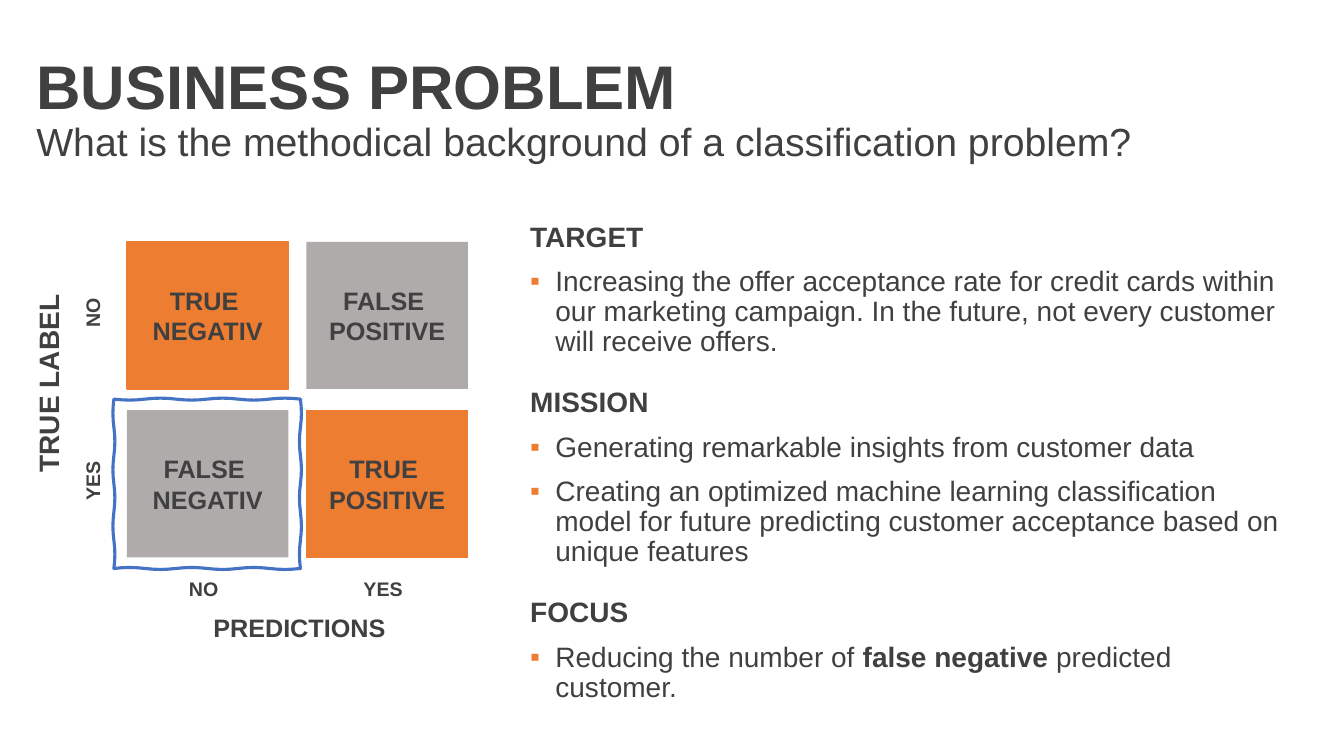
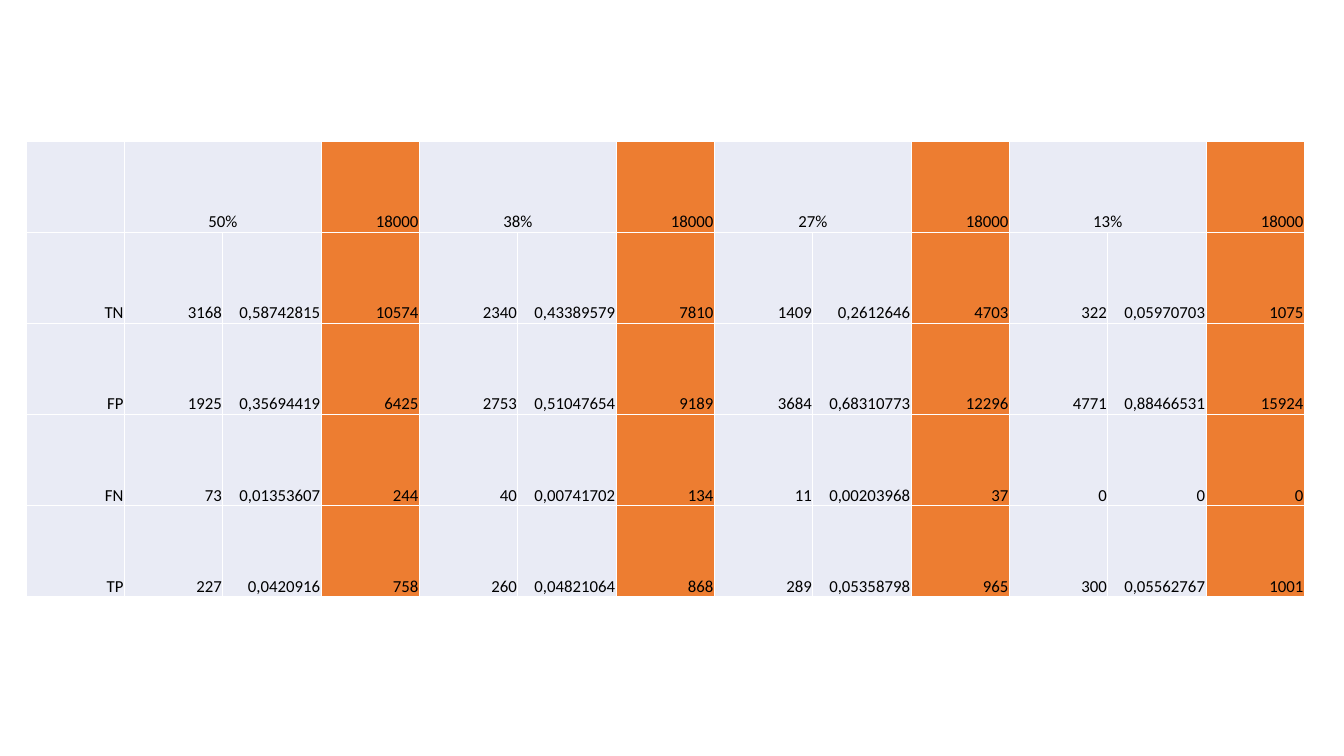
from math import pi, sin

from lxml.etree import SubElement
from pptx import Presentation
from pptx.dml.color import RGBColor
from pptx.enum.shapes import MSO_SHAPE as Shape
from pptx.enum.text import MSO_ANCHOR as Anchor, PP_ALIGN as Align
from pptx.oxml.ns import qn
from pptx.util import Inches, Pt

INK, ORANGE, GRAY, BLUE, PALE, BLACK = (
    "404040", "ED7D31", "AFABAB", "4472C4", "E9EBF5", "000000")
SANS, TABLE_FONT = "Arial", "Calibri"

POINTS = [
    ("TARGET", [
        "Increasing the offer acceptance rate for credit cards within our "
        "marketing campaign. In the future, not every customer will receive offers."]),
    ("MISSION", [
        "Generating remarkable insights from customer data",
        "Creating an optimized machine learning classification model for future "
        "predicting customer acceptance based on unique features"]),
    ("FOCUS", ["Reducing the number of *false negative *predicted customer."]),
]
MATRIX = [
    [("TRUE \nNEGATIV", ORANGE), ("FALSE \nPOSITIVE", GRAY)],
    [("FALSE \nNEGATIV", GRAY), ("TRUE \nPOSITIVE", ORANGE)],
]
SHARES, TOTAL = ["50%", "38%", "27%", "13%"], "18000"
COUNTS = [
    "TN 3168 0,58742815 10574 2340 0,43389579 7810 1409 0,2612646 4703 322 0,05970703 1075",
    "FP 1925 0,35694419 6425 2753 0,51047654 9189 3684 0,68310773 12296 4771 0,88466531 15924",
    "FN 73 0,01353607 244 40 0,00741702 134 11 0,00203968 37 0 0 0",
    "TP 227 0,0420916 758 260 0,04821064 868 289 0,05358798 965 300 0,05562767 1001",
]


def rgb(code):
    return RGBColor.from_string(code)


def place(box):
    return [Inches(n) for n in box]


def style(run, size, bold=False, color=INK, name=SANS):
    font = run.font
    font.size, font.bold, font.name = Pt(size), bold, name
    font.color.rgb = rgb(color)


def add_title(slide, box, head, sub):
    title = slide.shapes.title
    title.left, title.top, title.width, title.height = place(box)
    frame = title.text_frame
    frame.text = f"{head}\v{sub}"
    frame.vertical_anchor = Anchor.MIDDLE
    para = frame.paragraphs[0]
    para.alignment, para.line_spacing = Align.LEFT, 0.9
    style(para.runs[0], 44, True)
    style(para.runs[1], 28)


def add_bullet(para):
    props = para._p.get_or_add_pPr()
    props.set("marL", str(Inches(0.25)))
    props.set("indent", str(-Inches(0.25)))
    color = SubElement(props, qn("a:buClr"))
    SubElement(color, qn("a:srgbClr"), val=ORANGE)
    SubElement(props, qn("a:buFont"), typeface=SANS)
    SubElement(props, qn("a:buChar"), char="▪")


def add_points(slide, box):
    frame = slide.shapes.add_textbox(*place(box)).text_frame
    frame.word_wrap, frame.vertical_anchor = True, Anchor.MIDDLE
    lines = [(text, head) for title, items in POINTS
             for text, head in [(title, True)] + [(item, False) for item in items]]
    for i, (text, head) in enumerate(lines):
        para = frame.add_paragraph() if i else frame.paragraphs[0]
        para.line_spacing = 0.9
        if i:
            para.space_before = Pt(22 if head else 10)
        if not head:
            add_bullet(para)
        for k, part in enumerate(text.split("*")):
            run = para.add_run()
            run.text = part
            style(run, 20, head or k % 2 == 1)


def add_label(slide, mid_x, mid_y, text, size, turn=0):
    """Centre a one-line label on a point."""
    wide, high = 2, size / 50 + 0.04
    label = slide.shapes.add_textbox(
        *place((mid_x - wide / 2, mid_y - high / 2, wide, high)))
    label.rotation = turn
    frame = label.text_frame
    frame.text, frame.word_wrap = text, False
    para = frame.paragraphs[0]
    para.alignment = Align.CENTER
    style(para.runs[0], size, True)


def add_square(slide, box, text, fill):
    square = slide.shapes.add_shape(Shape.RECTANGLE, *place(box))
    square.shadow.inherit = False
    square.fill.solid()
    square.fill.fore_color.rgb = rgb(fill)
    if fill == ORANGE:
        square.line.color.rgb = rgb(ORANGE)
        square.line.width = Pt(1)
    else:
        square.line.fill.background()
    frame = square.text_frame
    frame.text, frame.vertical_anchor = text, Anchor.MIDDLE
    for para in frame.paragraphs:
        para.alignment = Align.CENTER
        style(para.runs[0], 18, True)


def add_frame(slide, box):
    """Draw a hand-drawn looking frame with gently waving sides."""
    x, y, wide, high = box
    corners = [(x, y), (x + wide, y), (x + wide, y + high), (x, y + high)]
    steps, dots = 24, []
    for i, (x0, y0) in enumerate(corners):
        x1, y1 = corners[(i + 1) % 4]
        for k in range(steps):
            t = k / steps
            wave = 0.01 * sin(6 * pi * t)
            dx, dy = (0, wave) if i % 2 == 0 else (wave, 0)
            dots.append((Inches(x0 + (x1 - x0) * t + dx),
                         Inches(y0 + (y1 - y0) * t + dy)))
    path = slide.shapes.build_freeform(*dots[0])
    path.add_line_segments(dots[1:], close=True)
    shape = path.convert_to_shape()
    shape.shadow.inherit = False
    shape.fill.background()
    shape.line.color.rgb = rgb(BLUE)
    shape.line.width = Pt(2.25)


def add_matrix(slide, box):
    x, y, wide, high = box
    side, tall = 1.6, 1.46
    step_x, step_y = wide - side, high - tall
    for r, row in enumerate(MATRIX):
        for c, (text, fill) in enumerate(row):
            add_square(slide, (x + c * step_x, y + r * step_y, side, tall), text, fill)
    for i, name in enumerate(("NO", "YES")):
        add_label(slide, x + i * step_x + side / 2 - 0.04, y + high + 0.3, name, 14)
        add_label(slide, x - 0.35, y + i * step_y + tall / 2 - 0.03, name, 14, 270)
    add_label(slide, x + wide / 2 + 0.02, y + high + 0.7, "PREDICTIONS", 18)
    add_label(slide, x - 0.78, y + high / 2 - 0.16, "TRUE LABEL", 20, 270)
    add_frame(slide, (x - 0.13, y + step_y - 0.11, side + 0.25, tall + 0.22))


def add_counts(slide, box):
    head = [""] + [text for share in SHARES for text in (share, "", TOTAL)]
    rows = [head] + [line.split() for line in COUNTS]
    table = slide.shapes.add_table(len(rows), len(head), *place(box)).table
    table.first_row = table.horz_banding = False
    for r, row in enumerate(rows):
        for c, text in enumerate(row):
            cell = table.cell(r, c)
            cell.fill.solid()
            cell.fill.fore_color.rgb = rgb(ORANGE if c and c % 3 == 0 else PALE)
            cell.margin_left = cell.margin_right = cell.margin_top = Inches(0.01)
            cell.margin_bottom = 0
            cell.vertical_anchor = Anchor.BOTTOM
            cell.text = text
            para = cell.text_frame.paragraphs[0]
            para.alignment = Align.CENTER if text in SHARES else Align.RIGHT
            for run in para.runs:
                style(run, 12, color=BLACK, name=TABLE_FONT)
    for c in range(1, len(head), 3):
        table.cell(0, c).merge(table.cell(0, c + 1))


def add_problem(deck):
    slide = deck.slides.add_slide(deck.slide_layouts[5])
    add_title(slide, (0.26, 0.4, 12.15, 1.39), "BUSINESS PROBLEM",
              "What is the methodical background of a classification problem?")
    add_points(slide, (5.16, 1.79, 7.81, 5.61))
    add_matrix(slide, (1.26, 2.4, 3.38, 3.13))


def add_results(deck):
    slide = deck.slides.add_slide(deck.slide_layouts[6])
    add_counts(slide, (0.26, 1.4, 12.68, 4.52))


def main():
    deck = Presentation()
    deck.slide_width, deck.slide_height = Inches(13.33), Inches(7.5)
    add_problem(deck)
    add_results(deck)
    deck.save("out.pptx")


if __name__ == "__main__":
    main()
